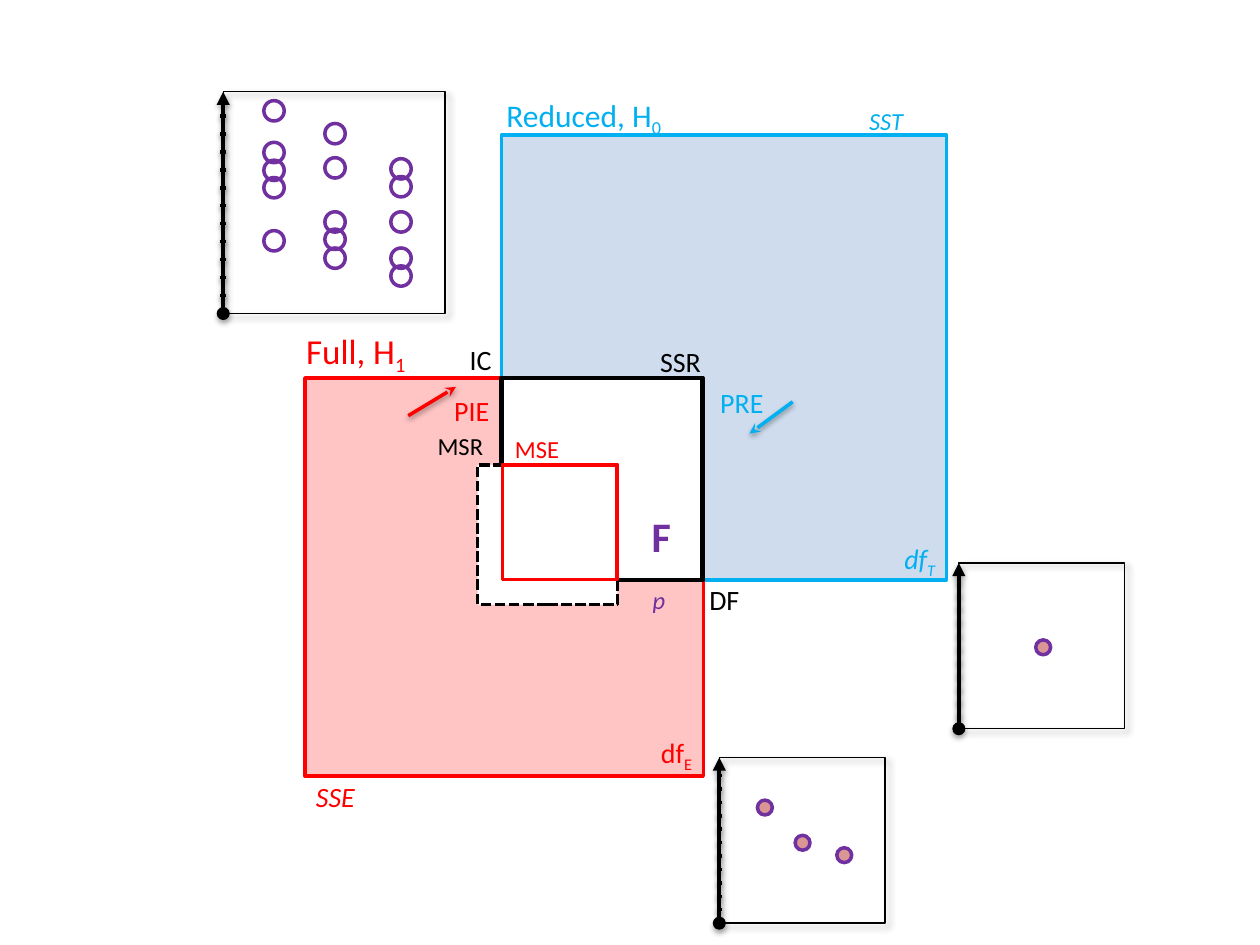
from lxml import etree
from pptx import Presentation
from pptx import util as u
from pptx.dml.color import RGBColor
from pptx.enum import dml, shapes, text
from pptx.oxml import ns

COLORS = {
    "blue": "00B0F0", "pale": "B9CDE5", "red": "FF0000", "purple": "7030A0",
    "pink": "D99694", "black": "000000", "white": "FFFFFF",
}
# Shadows: opacity %, blur pt, distance pt, direction in degrees
AXIS_SHADOW = (35, 3.1, 1.8, 90)
LINE_SHADOW = (38, 3.1, 1.6, 90)
FRAME_SHADOW = (40, 4, 3, 45)
ALIGN = {"l": text.PP_ALIGN.LEFT, "c": text.PP_ALIGN.CENTER, "r": text.PP_ALIGN.RIGHT}
ANCHOR = {"t": text.MSO_ANCHOR.TOP, "m": text.MSO_ANCHOR.MIDDLE, "b": text.MSO_ANCHOR.BOTTOM}
RECT, OVAL = shapes.MSO_SHAPE.RECTANGLE, shapes.MSO_SHAPE.OVAL
TICKS, TICK_STEP, TICK_HALF = 11, 0.081, 0.014  # last two relative to the plot size


def rgb(name):
    return RGBColor.from_string(COLORS[name])


def sub(parent, tag, **attrs):
    return etree.SubElement(parent, ns.qn(tag), attrs)


def add_shadow(effects, shadow):
    alpha, blur, dist, angle = shadow
    outer = sub(effects, "a:outerShdw", blurRad=str(u.Pt(blur)), dist=str(u.Pt(dist)),
                dir=str(angle * 60000), rotWithShape="0")
    color = sub(outer, "a:srgbClr", val=COLORS["black"])
    sub(color, "a:alpha", val=str(alpha * 1000))


def add_figure(parent, kind, x, y, w, h, fill=None, alpha=None, line=None, width=2.0,
               dashed=False, shadow=None):
    s = parent.add_shape(kind, u.Cm(x), u.Cm(y), u.Cm(w), u.Cm(h))
    if fill:
        s.fill.solid()
        s.fill.fore_color.rgb = rgb(fill)
        if alpha:
            color = s._element.spPr.find(".//" + ns.qn("a:srgbClr"))
            sub(color, "a:alpha", val=str(alpha * 1000))
    else:
        s.fill.background()
    if line:
        s.line.color.rgb = rgb(line)
        s.line.width = u.Pt(width)
        if dashed:
            s.line.dash_style = dml.MSO_LINE.SQUARE_DOT
    else:
        s.line.fill.background()
    s.shadow.inherit = False
    if shadow:
        add_shadow(s._element.spPr.find(ns.qn("a:effectLst")), shadow)
    return s


def add_line(parent, start, end, color="black", width=2.0, head=None, tail=None,
             shadow=LINE_SHADOW):
    points = [u.Cm(v) for v in (*start, *end)]
    c = parent.add_connector(shapes.MSO_CONNECTOR.STRAIGHT, *points)
    c.line.color.rgb = rgb(color)
    c.line.width = u.Pt(width)
    ln = c.line._get_or_add_ln()
    if head:
        sub(ln, "a:headEnd", type=head)
    if tail:
        sub(ln, "a:tailEnd", type=tail)
    add_shadow(sub(c._element.spPr, "a:effectLst"), shadow)
    return c


def add_text(parent, content, x, y, w, h, size=16, color="black", align="l", anchor="t",
             italic=False, bold=False, subscript=None):
    tf = parent.add_textbox(u.Cm(x), u.Cm(y), u.Cm(w), u.Cm(h)).text_frame
    tf.word_wrap = True
    tf.vertical_anchor = ANCHOR[anchor]
    p = tf.paragraphs[0]
    p.alignment = ALIGN[align]
    for part in filter(None, (content, subscript)):
        r = p.add_run()
        r.text = part
        r.font.name, r.font.size = "Calibri", u.Pt(size)
        r.font.italic, r.font.bold = italic, bold
        r.font.color.rgb = rgb(color)
    if subscript:
        r._r.get_or_add_rPr().set("baseline", "-25000")


def add_plot(parent, x, y, size, dots, diameter, fill=None):
    """Framed dot plot with a ticked vertical axis on its left side."""
    plot = parent.add_group_shape().shapes
    bottom = y + size
    add_line(plot, (x, bottom), (x, y), width=2.5, head="oval", tail="triangle",
             shadow=AXIS_SHADOW)
    half = TICK_HALF * size
    for i in range(1, TICKS + 1):
        tick_y = bottom - i * TICK_STEP * size
        add_line(plot, (x - half, tick_y), (x + half, tick_y))
    for dot_x, dot_y in dots:
        add_figure(plot, OVAL, dot_x, dot_y, diameter, diameter, fill=fill, line="purple")
    add_figure(plot, RECT, x, y, size, size, line="black", width=0.75, shadow=FRAME_SHADOW)


def main():
    prs = Presentation()
    prs.slide_width, prs.slide_height = u.Cm(25.4), u.Cm(19.05)
    sp = prs.slides.add_slide(prs.slide_layouts[6]).shapes

    # Reduced model: total sum of squares
    add_figure(sp, RECT, 10.11, 2.72, 8.97, 8.97, fill="pale", alpha=69, line="blue")
    add_text(sp, "SST", 17.27, 2.01, 1.93, 0.66, size=14, color="blue", italic=True)
    add_text(sp, "df", 17.27, 10.9, 1.83, 0.81, color="blue", italic=True, align="r",
             anchor="m", subscript="T")
    add_text(sp, "Reduced, H", 9.96, 1.75, 4.24, 1.22, size=18, color="blue", anchor="m",
             subscript="0")

    # Full model: error sum of squares
    add_figure(sp, RECT, 6.15, 7.62, 8.03, 8.03, fill="red", alpha=23, line="red")
    add_text(sp, "df", 12.5, 14.81, 1.7, 0.81, color="red", align="r", anchor="m",
             subscript="E")
    add_text(sp, "Full, H", 5.92, 6.71, 3.71, 0.81, size=20, color="red", anchor="m",
             subscript="1")
    add_text(sp, "SSE", 6.12, 15.6, 1.6, 0.81, color="red", italic=True)

    # Dot plots: data by group, group means, grand mean
    columns = {
        5.32: (2.03, 2.87, 3.23, 3.58, 4.65),
        6.55: (2.49, 3.18, 4.27, 4.62, 5.0),
        7.88: (3.2, 3.56, 4.27, 5.0, 5.36),
    }
    data = [(x, y) for x, tops in columns.items() for y in tops]
    means = [(15.27, 16.13), (16.03, 16.84), (16.87, 17.09)]
    add_plot(sp, 4.5, 1.85, 4.47, data, 0.41)
    add_plot(sp, 14.5, 15.27, 3.34, means, 0.3, fill="pink")
    add_plot(sp, 19.33, 11.35, 3.34, [(20.88, 12.9)], 0.3, fill="pink")

    # Overlap: sum of squares reduced
    add_text(sp, "SSR", 12.45, 6.83, 1.93, 0.66, align="r")
    add_figure(sp, RECT, 10.13, 7.62, 4.04, 4.04, fill="white")
    add_figure(sp, RECT, 10.11, 7.62, 4.05, 4.07, line="black", width=2.5)

    # Directions of change
    add_text(sp, "PRE", 14.27, 7.65, 1.6, 0.81, color="blue")
    add_line(sp, (15.98, 8.1), (15.11, 8.74), color="blue", tail="stealth")
    add_text(sp, "PIE", 8.71, 7.8, 1.6, 0.81, color="red", align="c")
    add_line(sp, (8.23, 8.38), (9.19, 7.8), color="red", tail="stealth")

    # Corner labels
    add_text(sp, "DF", 14.05, 11.68, 2.11, 0.81, anchor="m")
    add_text(sp, "IC", 8.33, 6.83, 1.83, 0.81, align="r", anchor="m")

    # Mean squares and the F test
    add_figure(sp, RECT, 9.63, 9.37, 2.82, 2.82, fill="white", line="black", dashed=True)
    add_text(sp, "MSR", 8.26, 8.46, 1.73, 0.94, size=14, align="r", anchor="b")
    add_text(sp, "MSE", 10.13, 8.53, 1.75, 0.94, size=14, color="red", anchor="b")
    for dashed in (False, True):
        add_figure(sp, RECT, 10.13, 9.37, 2.31, 2.31, line="red", dashed=dashed)
    add_text(sp, "p", 12.37, 11.66, 1.83, 0.79, size=14, color="purple", italic=True, align="c")
    add_text(sp, "F", 12.29, 10.29, 2.08, 1.14, size=24, color="purple", bold=True, align="c",
             anchor="b")

    prs.save("out.pptx")


if __name__ == "__main__":
    main()
